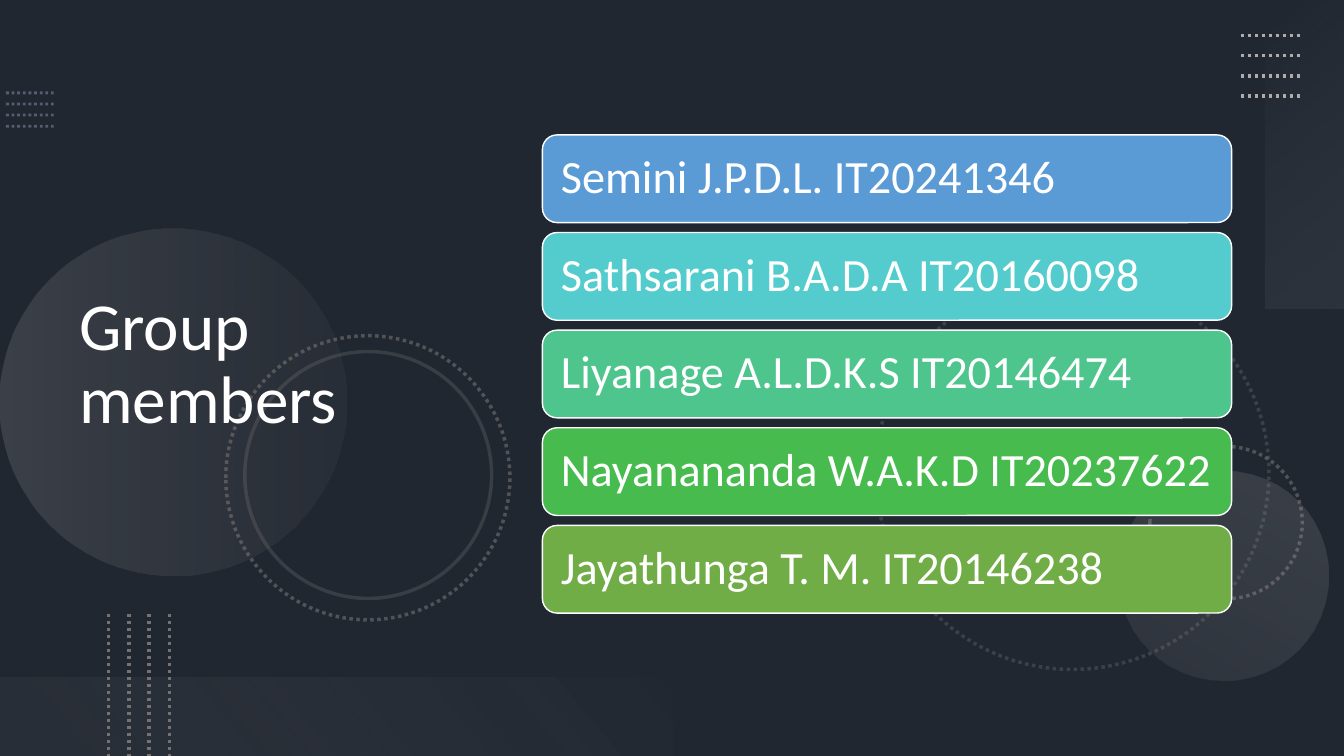
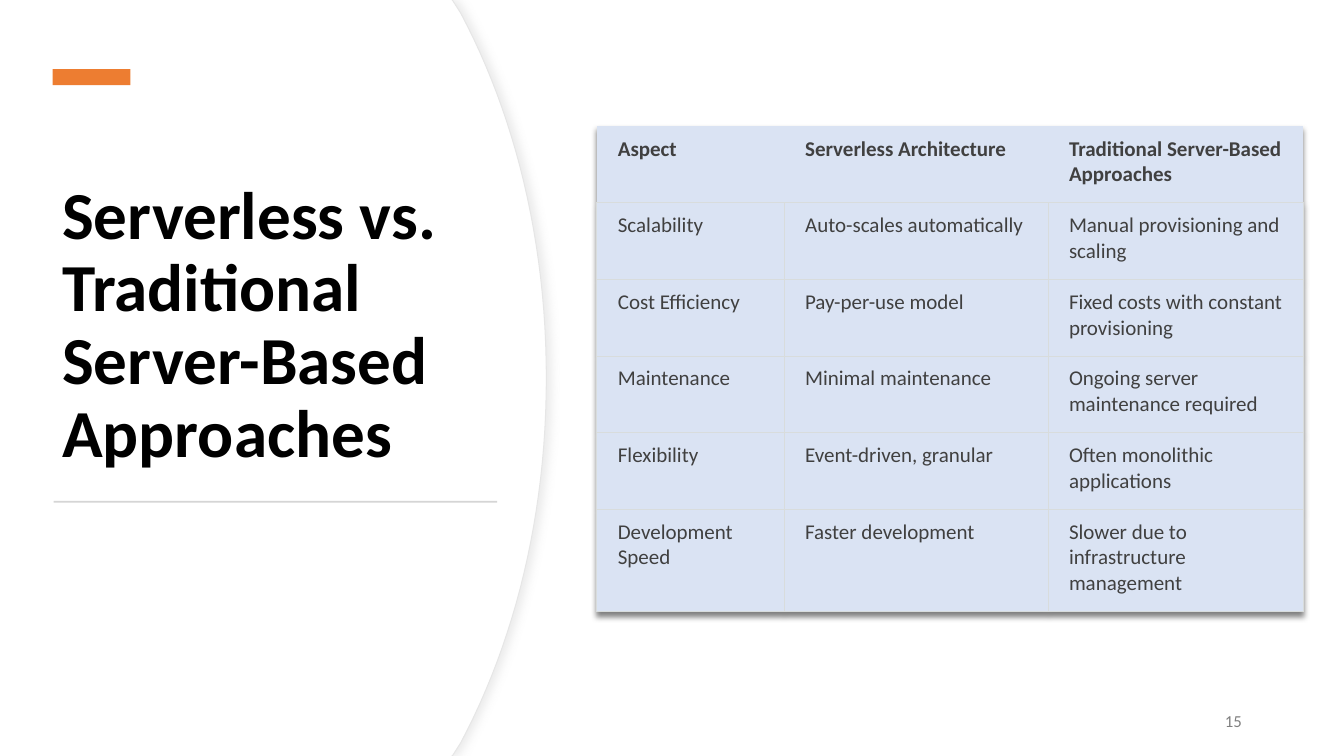
from lxml.etree import SubElement
from pptx import Presentation
from pptx.dml.color import RGBColor
from pptx.enum.dml import MSO_LINE
from pptx.enum.shapes import MSO_CONNECTOR, MSO_SHAPE
from pptx.enum.text import MSO_ANCHOR, PP_ALIGN
from pptx.oxml.ns import qn
from pptx.util import Cm, Pt


class Theme:
    font = "Calibri"
    title_size, member_size, table_size, number_size = 48, 33, 15, 12
    white, black = "FFFFFF", "000000"
    slate, steel = "44546A", "8497B0"
    silver, grey = "AFABAB", "767171"
    members = ["5B9BD5", "54CCCD", "4DC58D", "48BB4F", "70AD47"]
    accent, rule, panel_edge, panel_shadow = "ED7D31", "D5D5D5", "E6E6E6", "D9D9D9"
    cell, cell_border, cell_text, number = "DAE3F3", "D8DCDC", "404040", "808080"


def paint(shape, fill=None, line=None, width=1, alphas=(), angle=0):
    """Fill and outline a shape; a list of (position, colour) pairs makes a gradient.

    The alphas, in percent, go to the colours in order, fill before outline.
    """
    shape.shadow.inherit = False
    if isinstance(fill, list):
        shape.fill.gradient()
        shape.fill.gradient_angle = 360 - angle
        for stop, (position, color) in zip(shape.fill.gradient_stops, fill):
            stop.position = position
            stop.color.rgb = RGBColor.from_string(color)
    elif fill:
        shape.fill.solid()
        shape.fill.fore_color.rgb = RGBColor.from_string(fill)
    else:
        shape.fill.background()
    if line:
        shape.line.color.rgb = RGBColor.from_string(line)
        shape.line.width = Pt(width)
    else:
        shape.line.fill.background()
    colors = list(shape._element.spPr.iter(qn("a:srgbClr")))
    for color, alpha in zip(colors, alphas):
        SubElement(color, qn("a:alpha"), val=str(alpha * 1000))


def write(text_frame, text, size, color, bold=False, align=PP_ALIGN.LEFT,
          anchor=MSO_ANCHOR.MIDDLE, spacing=0.9):
    text_frame.word_wrap = True
    text_frame.vertical_anchor = anchor
    text_frame.text = text
    paragraph = text_frame.paragraphs[0]
    paragraph.alignment = align
    paragraph.line_spacing = spacing
    font = paragraph.runs[0].font
    font.name, font.size, font.bold = Theme.font, Pt(size), bold
    font.color.rgb = RGBColor.from_string(color)


presentation = Presentation()
presentation.slide_width, presentation.slide_height = Cm(33.87), Cm(19.05)
blank = presentation.slide_layouts[6]

# Group members
slide = presentation.slides.add_slide(blank)
slide.background.fill.solid()
slide.background.fill.fore_color.rgb = RGBColor.from_string(Theme.slate)
veil = slide.shapes.add_shape(MSO_SHAPE.RECTANGLE, 0, 0, Cm(33.87), Cm(19.05))
paint(veil, Theme.black, alphas=[53])

rings = [
    (22.07, 6.96, 9.91, True, 35),
    (28.98, 11.25, 3.84, True, 60),
    (5.69, 8.46, 7.16, True, 60),
    (6.17, 8.86, 6.22, False, 30),
]
for left, top, size, dotted, alpha in rings:
    ring = slide.shapes.add_shape(MSO_SHAPE.OVAL, Cm(left), Cm(top), Cm(size), Cm(size))
    paint(ring, line=Theme.grey, width=2.5, alphas=[alpha])
    if dotted:
        ring.line.dash_style = MSO_LINE.ROUND_DOT

gradients = [
    (MSO_SHAPE.OVAL, 0, 5.77, 8.74, 8.74, 270, 90,
     [(0, Theme.silver), (1, Theme.grey)], [20, 10]),
    (MSO_SHAPE.OVAL, 28.19, 11.86, 5.28, 5.28, 210, 90,
     [(0, Theme.silver), (1, Theme.silver)], [10, 20]),
    (MSO_SHAPE.RECTANGLE, 29.01, 2.9, 7.77, 1.98, 270, 140,
     [(0, "F5F5F5"), (1, Theme.silver)], [0, 10]),
    (MSO_SHAPE.RECTANGLE, 0, 17.07, 16.94, 1.98, 180, 140,
     [(0.1, Theme.grey), (1, "F1F0F0")], [10, 0]),
]
for kind, left, top, width, height, rotation, angle, stops, alphas in gradients:
    shape = slide.shapes.add_shape(kind, Cm(left), Cm(top), Cm(width), Cm(height))
    shape.rotation = rotation
    paint(shape, stops, alphas=alphas, angle=angle)

# First line of each dotted set, then the step to the next line
dotted_sets = [
    ((0.15, 2.34, 1.35, 2.34), (0, 0.28), Theme.steel, 2, 50),
    ((31.27, 0.89, 32.79, 0.89), (0, 0.51), Theme.silver, 2.5, 100),
    ((2.74, 15.47, 2.74, 19.05), (0.51, 0), Theme.grey, 2.5, 100),
]
for (x1, y1, x2, y2), (step_x, step_y), color, width, alpha in dotted_sets:
    for index in range(4):
        dx, dy = index * step_x, index * step_y
        connector = slide.shapes.add_connector(
            MSO_CONNECTOR.STRAIGHT, Cm(x1 + dx), Cm(y1 + dy), Cm(x2 + dx), Cm(y2 + dy))
        connector.line.color.rgb = RGBColor.from_string(color)
        connector.line.width = Pt(width)
        connector.line.dash_style = MSO_LINE.ROUND_DOT
        properties = connector._element.spPr
        for line_color in list(properties.iter(qn("a:srgbClr"))):
            SubElement(line_color, qn("a:alpha"), val=str(alpha * 1000))
        SubElement(properties, qn("a:effectLst"))

title = slide.shapes.add_textbox(Cm(1.75), Cm(1.37), Cm(11.66), Cm(15.67))
write(title.text_frame, "Group members", Theme.title_size, Theme.white)

members = [
    "Semini J.P.D.L. IT20241346",
    "Sathsarani B.A.D.A IT20160098",
    "Liyanage A.L.D.K.S IT20146474",
    "Nayanananda W.A.K.D IT20237622",
    "Jayathunga T. M. IT20146238",
]
for index, (member, color) in enumerate(zip(members, Theme.members)):
    bar = slide.shapes.add_shape(MSO_SHAPE.ROUNDED_RECTANGLE, Cm(13.67),
                                 Cm(3.4 + index * 2.46), Cm(17.37), Cm(2.21))
    paint(bar, color, Theme.white)
    write(bar.text_frame, member, Theme.member_size, Theme.white)
    bar.text_frame.margin_left, bar.text_frame.margin_right = Cm(0.36), Cm(0.1)

# Serverless vs. traditional
slide = presentation.slides.add_slide(blank)
slide.background.fill.solid()
slide.background.fill.fore_color.rgb = RGBColor.from_string(Theme.white)

# Upper half of the bulging edge as a cubic curve, mirrored for the lower half
curve = [(11.61, 0.33), (12.98, 2.9), (13.77, 6.07), (13.77, 9.53)]
steps = 24
upper = [(11.4, 0)]
for index in range(steps + 1):
    t = index / steps
    weights = [(1 - t) ** 3, 3 * t * (1 - t) ** 2, 3 * t ** 2 * (1 - t), t ** 3]
    upper.append(tuple(sum(weight * point[axis] for weight, point in zip(weights, curve))
                       for axis in (0, 1)))
edge = upper + [(x, 19.05 - y) for x, y in reversed(upper)]
panels = []
for inset, line in [(0, Theme.panel_edge), (0.03, None)]:
    builder = slide.shapes.build_freeform(0, 0)
    outline = [(Cm(x - inset), Cm(y)) for x, y in edge] + [(0, Cm(19.05))]
    builder.add_line_segments(outline, close=True)
    panel = builder.convert_to_shape()
    paint(panel, Theme.white, line, 0.75)
    panels.append(panel)

title = slide.shapes.add_textbox(Cm(1.32), Cm(3.12), Cm(11.18), Cm(8.89))
write(title.text_frame, "Serverless vs. Traditional Server-Based Approaches",
      Theme.title_size, Theme.black, bold=True, anchor=MSO_ANCHOR.BOTTOM)

for left, top, width, height, color in [(1.33, 1.74, 1.96, 0.41, Theme.accent),
                                        (1.35, 12.62, 11.18, 0.05, Theme.rule)]:
    bar = slide.shapes.add_shape(MSO_SHAPE.RECTANGLE, Cm(left), Cm(top), Cm(width), Cm(height))
    paint(bar, color)

number = slide.shapes.add_textbox(Cm(27.36), Cm(17.65), Cm(4.19), Cm(1.02))
write(number.text_frame, "15", Theme.number_size, Theme.number, align=PP_ALIGN.RIGHT, spacing=1)

rows = [
    ("Aspect", "Serverless Architecture", "Traditional Server-Based Approaches"),
    ("Scalability", "Auto-scales automatically", "Manual provisioning and scaling"),
    ("Cost Efficiency", "Pay-per-use model", "Fixed costs with constant provisioning"),
    ("Maintenance", "Minimal maintenance", "Ongoing server maintenance required"),
    ("Flexibility", "Event-driven, granular", "Often monolithic applications"),
    ("Development Speed", "Faster development", "Slower due to infrastructure management"),
]
column_widths = [4.72, 6.65, 6.43]
row_heights = [1.93] * 5 + [2.59]
table = slide.shapes.add_table(len(rows), len(column_widths), Cm(15.04), Cm(3.18),
                               Cm(sum(column_widths)), Cm(sum(row_heights))).table
table.first_row = table.horz_banding = False
table_properties = table._tbl.tblPr
# The style without fills and grid lines
table_properties.find(qn("a:tableStyleId")).text = "{2D5ABB26-0587-4C30-8999-92F81FD0307C}"
for column, width in zip(table.columns, column_widths):
    column.width = Cm(width)
for row_index, (row, height) in enumerate(zip(rows, row_heights)):
    table.rows[row_index].height = Cm(height)
    for column_index, text in enumerate(row):
        cell = table.cell(row_index, column_index)
        write(cell.text_frame, text, Theme.table_size, Theme.cell_text,
              bold=row_index == 0, spacing=1)
        cell.vertical_anchor = MSO_ANCHOR.TOP
        cell.margin_left = Cm(0.53)
        cell.margin_top = cell.margin_right = cell.margin_bottom = Cm(0.25)
        for side in "LRTB" if row_index else "B":
            border = SubElement(cell._tc.get_or_add_tcPr(), qn(f"a:ln{side}"), w=str(Pt(0.75)))
            border_fill = SubElement(border, qn("a:solidFill"))
            SubElement(border_fill, qn("a:srgbClr"), val=Theme.cell_border)
        cell.fill.solid()
        cell.fill.fore_color.rgb = RGBColor.from_string(Theme.cell)

table_effects = SubElement(table_properties, qn("a:effectLst"))
table_properties.insert(0, table_effects)
panel_effects = panels[0]._element.spPr.find(qn("a:effectLst"))
for effects, color, blur, distance, direction in [
        (panel_effects, Theme.panel_shadow, 6, 3, 0),
        (table_effects, Theme.black, 4, 3, 90)]:
    shadow = SubElement(effects, qn("a:outerShdw"), blurRad=str(Pt(blur)),
                        dist=str(Pt(distance)), dir=str(direction * 60000))
    shadow_color = SubElement(shadow, qn("a:srgbClr"), val=color)
    SubElement(shadow_color, qn("a:alpha"), val="50000")

presentation.save("out.pptx")
